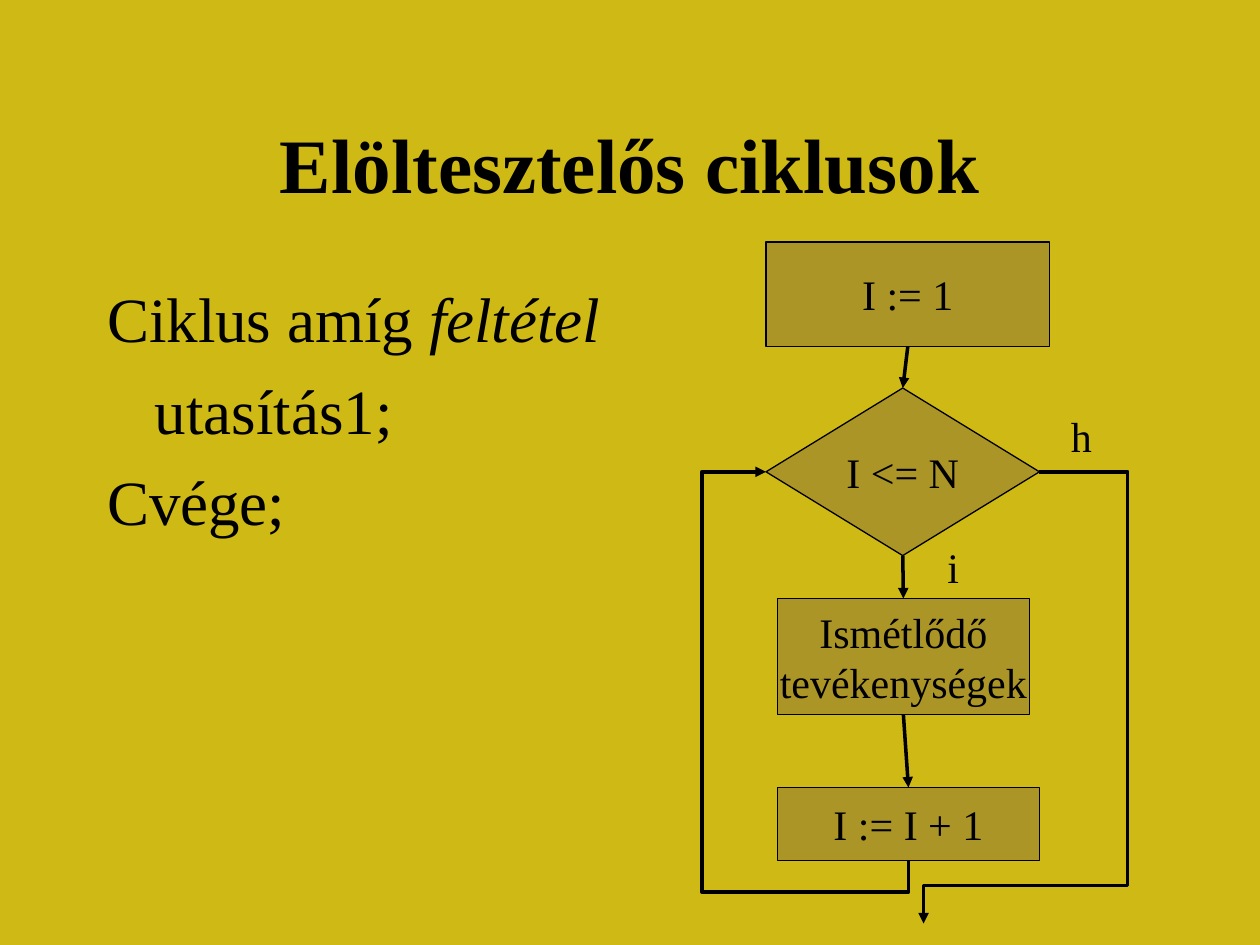
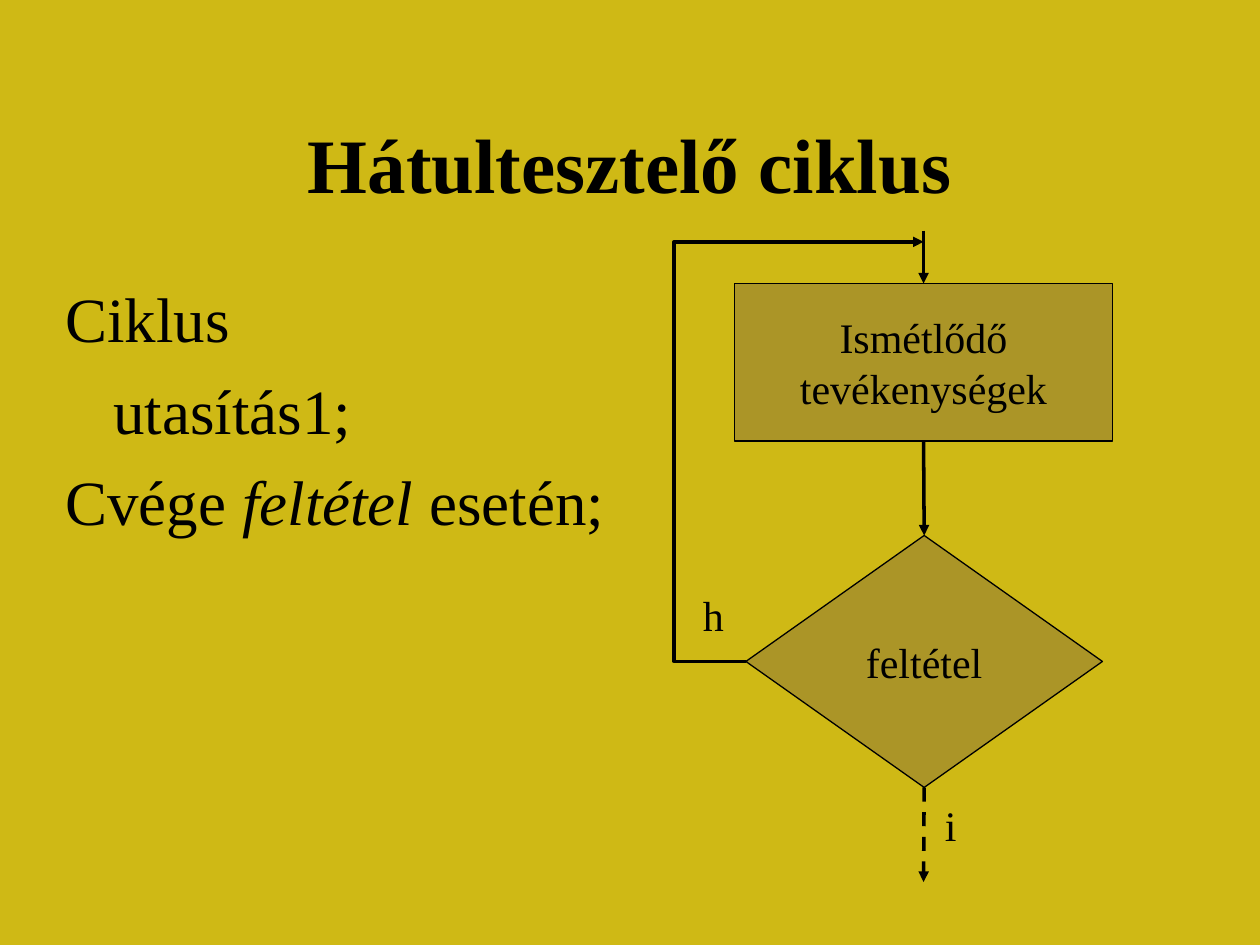
from dataclasses import dataclass

from lxml import etree
from pptx import Presentation
from pptx import util as u
from pptx.dml.color import RGBColor
from pptx.enum import dml, shapes, text
from pptx.oxml import ns

GOLD = RGBColor(0xCF, 0xB9, 0x15)
BRONZE = RGBColor(0xAB, 0x95, 0x27)
BLACK = RGBColor(0, 0, 0)
FACE = "Times New Roman"
STEP = shapes.MSO_SHAPE.FLOWCHART_PROCESS
TEST = shapes.MSO_SHAPE.FLOWCHART_DECISION
TOP, LEFT, BOTTOM, RIGHT = range(4)
HANG = u.Inches(0.38)
TERM = "feltétel"


@dataclass
class Node:
    """A box of the flow chart."""
    name: str
    kind: shapes.MSO_SHAPE
    at: tuple
    words: str


@dataclass
class Label:
    """A letter beside a branch."""
    at: tuple
    words: str


@dataclass
class Link:
    """An arrow between (node, side) pairs or points, bent at x and y if given."""
    start: tuple
    end: tuple
    x: float | None = None
    y: float | None = None
    dash: bool = False
    back: bool = False


@dataclass
class Line:
    """A line of pseudocode in pieces."""
    bits: tuple
    deep: bool = False


@dataclass
class Page:
    """The content of one slide."""
    title: str
    area: tuple
    rows: list
    nodes: list
    links: list
    labels: list


PAGES = [
    Page(
        "Elöltesztelős ciklusok",
        (0.75, 2.17, 5, 4.5),
        [Line(("Ciklus amíg ", TERM)), Line(("utasítás1;",), True), Line(("Cvége;",))],
        [
            Node("init", STEP, (6.08, 1.92, 2.25, 0.83), "I := 1"),
            Node("test", TEST, (6.08, 3.08, 2.17, 1.33), "I <= N"),
            Node("next", STEP, (6.17, 6.25, 2.08, 0.58), "I := I + 1"),
            Node("work", STEP, (6.17, 4.75, 2, 0.92), "Ismétlődő\ntevékenységek"),
        ],
        [
            Link(("init", BOTTOM), ("test", TOP)),
            Link(("test", BOTTOM), ("work", TOP)),
            Link(("work", BOTTOM), ("next", TOP)),
            Link(("test", LEFT), ("next", BOTTOM), 5.57, 7.08, back=True),
            Link(("test", RIGHT), (7.33, 7.33), 8.95, 7.03),
        ],
        [Label((7.42, 4.25, 0.29, 0.5), "i"), Label((8.4, 3.21, 0.36, 0.5), "h")],
    ),
    Page(
        "Hátultesztelő ciklus",
        (0.42, 2.17, 5.08, 4.5),
        [Line(("Ciklus",)), Line(("utasítás1;",), True),
         Line(("Cvége ", TERM + " ", "esetén;"))],
        [
            Node("test", TEST, (5.92, 4.25, 2.83, 2), TERM),
            Node("work", STEP, (5.83, 2.25, 3, 1.25), "Ismétlődő\ntevékenységek"),
        ],
        [
            Link((7.33, 1.83), ("work", TOP)),
            Link(("work", BOTTOM), ("test", TOP)),
            Link(("test", LEFT), (7.33, 1.92), 5.35),
            Link(("test", BOTTOM), (7.33, 7), dash=True),
        ],
        [Label((7.4, 6.3, 0.29, 0.5), "i"), Label((5.48, 4.63, 0.36, 0.5), "h")],
    ),
]


def place(shape, at: tuple) -> None:
    """Move and size a shape."""
    shape.left, shape.top, shape.width, shape.height = map(u.Inches, at)


def style(frame, size: int, align, bold: bool = False) -> None:
    """Format all the text of a frame."""
    for para in frame.paragraphs:
        para.alignment = align
        for run in para.runs:
            run.font.name = FACE
            run.font.size = u.Pt(size)
            run.font.bold = bold
            run.font.color.rgb = BLACK


def head(slide, page: Page) -> None:
    """Fill the title."""
    title = slide.shapes.title
    place(title, (0.75, 0.67, 8.5, 1.25))
    frame = title.text_frame
    frame.text = page.title
    frame.auto_size = text.MSO_AUTO_SIZE.NONE
    frame.vertical_anchor = text.MSO_ANCHOR.MIDDLE
    style(frame, 44, text.PP_ALIGN.CENTER, True)


def list_rows(slide, page: Page) -> None:
    """Fill the body with pseudocode."""
    body = slide.placeholders[1]
    place(body, page.area)
    frame = body.text_frame
    frame.auto_size = text.MSO_AUTO_SIZE.NONE
    for num, line in enumerate(page.rows):
        para = frame.add_paragraph() if num else frame.paragraphs[0]
        prop = para._p.get_or_add_pPr()
        prop.set("marL", str(HANG))
        prop.set("indent", str(0 if line.deep else -HANG))
        etree.SubElement(prop, ns.qn("a:buNone"))
        para.space_before = u.Pt(9 if num else 0)
        for bit in line.bits:
            run = para.add_run()
            run.text = bit
            run.font.italic = bit.strip() == TERM
    style(frame, 36, text.PP_ALIGN.LEFT)


def box(slide, node: Node):
    """Draw a node and return its shape."""
    shape = slide.shapes.add_shape(node.kind, *map(u.Inches, node.at))
    shape.shadow.inherit = False
    shape.fill.solid()
    shape.fill.fore_color.rgb = BRONZE
    shape.line.color.rgb = BLACK
    shape.line.width = u.Pt(0.75)
    frame = shape.text_frame
    frame.text = node.words
    frame.word_wrap = False
    frame.vertical_anchor = text.MSO_ANCHOR.MIDDLE
    style(frame, 24, text.PP_ALIGN.CENTER)
    return shape


def note(slide, label: Label) -> None:
    """Draw a branch label."""
    frame = slide.shapes.add_textbox(*map(u.Inches, label.at)).text_frame
    frame.text = label.words
    frame.word_wrap = False
    frame.auto_size = text.MSO_AUTO_SIZE.SHAPE_TO_FIT_TEXT
    style(frame, 24, text.PP_ALIGN.LEFT)


def bend(line, link: Link) -> None:
    """Set the corners of an elbow connector."""
    ratios = [(u.Inches(link.x) - line.begin_x) / (line.end_x - line.begin_x)]
    if link.y is not None:
        ratios.append((u.Inches(link.y) - line.begin_y) / (line.end_y - line.begin_y))
    geom = line._element.spPr.find(ns.qn("a:prstGeom"))
    geom.set("prst", f"bentConnector{len(ratios) + 2}")
    guides = geom.find(ns.qn("a:avLst"))
    for num, ratio in enumerate(ratios, 1):
        etree.SubElement(guides, ns.qn("a:gd"), name=f"adj{num}",
                         fmla=f"val {round(ratio * 100000)}")


def join(slide, link: Link, nodes: dict) -> None:
    """Draw an arrow and attach it to its nodes."""
    kind = shapes.MSO_CONNECTOR.STRAIGHT if link.x is None else shapes.MSO_CONNECTOR.ELBOW
    line = slide.shapes.add_connector(kind, 0, 0, 0, 0)
    if link.start[0] in nodes:
        line.begin_connect(nodes[link.start[0]], link.start[1])
    else:
        line.begin_x, line.begin_y = map(u.Inches, link.start)
    if link.end[0] in nodes:
        line.end_connect(nodes[link.end[0]], link.end[1])
    else:
        line.end_x, line.end_y = map(u.Inches, link.end)
    if link.x is not None:
        bend(line, link)
    line.line.color.rgb = BLACK
    line.line.width = u.Pt(2)
    if link.dash:
        line.line.dash_style = dml.MSO_LINE.DASH
    tip = "a:headEnd" if link.back else "a:tailEnd"
    etree.SubElement(line._element.spPr.find(ns.qn("a:ln")), ns.qn(tip), type="triangle")
    etree.SubElement(line._element.spPr, ns.qn("a:effectLst"))


def main() -> None:
    """Build and save the slides."""
    deck = Presentation()
    deck.slide_width, deck.slide_height = u.Inches(10), u.Inches(7.5)
    fill = deck.slide_master.background.fill
    fill.solid()
    fill.fore_color.rgb = GOLD
    for page in PAGES:
        slide = deck.slides.add_slide(deck.slide_layouts[1])
        head(slide, page)
        list_rows(slide, page)
        nodes = {node.name: box(slide, node) for node in page.nodes}
        for link in page.links:
            join(slide, link, nodes)
        for label in page.labels:
            note(slide, label)
    deck.save("out.pptx")


if __name__ == "__main__":
    main()
